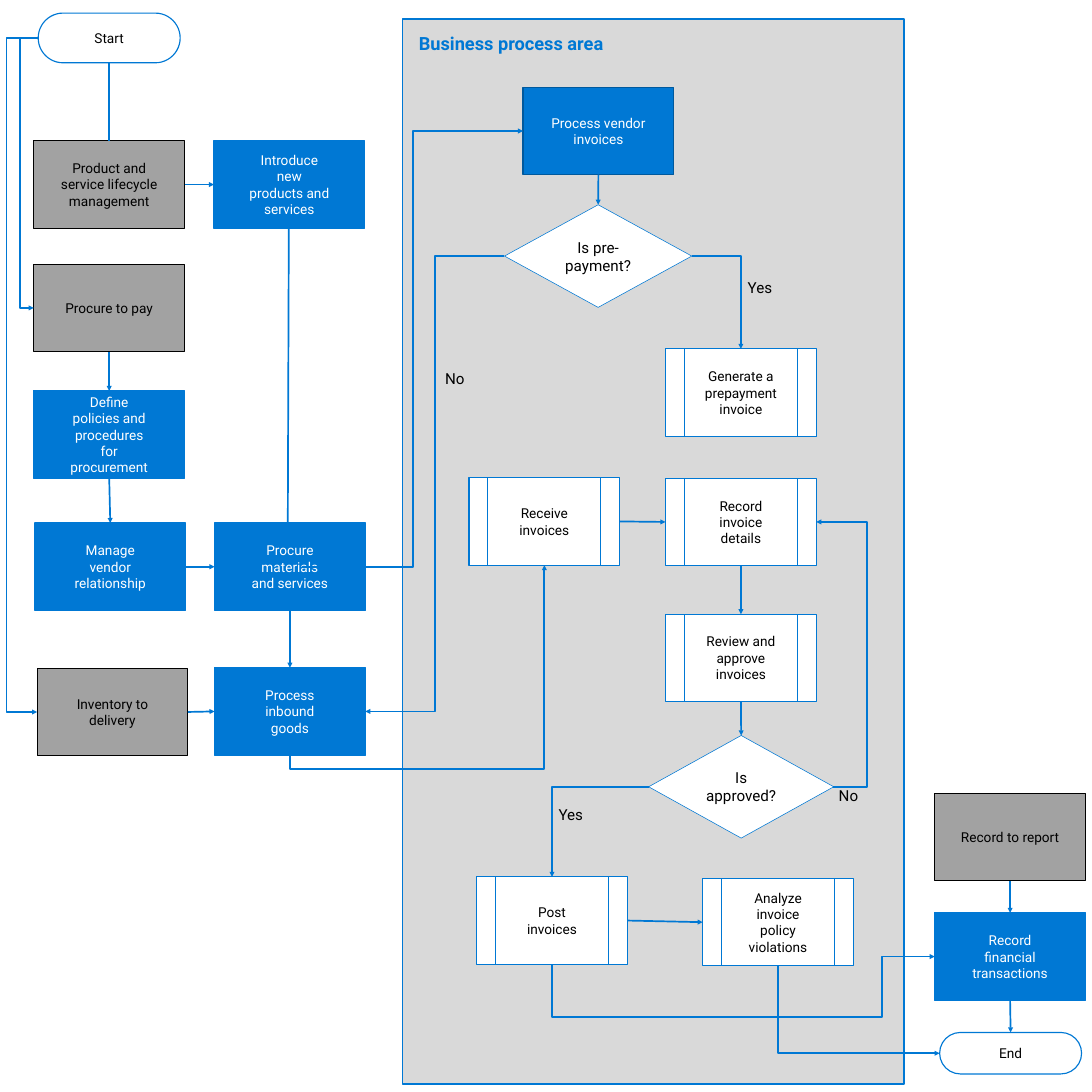
from lxml import etree
from pptx import Presentation
from pptx.dml.color import RGBColor
from pptx.enum import shapes, text
from pptx.oxml import ns
from pptx.util import Inches, Pt

BLUE = RGBColor(0x00, 0x78, 0xD4)
DARK_BLUE = RGBColor(0x00, 0x59, 0x9D)
GRAY = RGBColor(0xA2, 0xA2, 0xA2)
LIGHT_GRAY = RGBColor(0xD9, 0xD9, 0xD9)
BLACK = RGBColor(0, 0, 0)
WHITE = RGBColor(0xFF, 0xFF, 0xFF)

FONT = "Roboto"
BOX_SIZE = (2.76, 1.6)
TOP, LEFT, BOTTOM, RIGHT = range(4)
KIND = shapes.MSO_SHAPE

# kind: preset shape, fill, line colour, text colour
BOX_STYLES = {
    "area": (KIND.RECTANGLE, GRAY, BLACK, BLACK),
    "entry": (KIND.RECTANGLE, BLUE, DARK_BLUE, WHITE),
    "process": (KIND.FLOWCHART_PREDEFINED_PROCESS, BLUE, BLUE, WHITE),
    "step": (KIND.FLOWCHART_PREDEFINED_PROCESS, WHITE, BLUE, BLACK),
}

BOXES = [
    ("area", 0.62, 2.58, "Product and service lifecycle management"),
    ("area", 0.62, 4.84, "Procure to pay"),
    ("area", 0.68, 12.24, "Inventory to delivery"),
    ("area", 17.12, 14.53, "Record to report"),
    ("entry", 9.58, 1.6, "Process vendor invoices"),
    ("process", 3.92, 2.58, "Introduce new products and services"),
    ("process", 0.62, 7.16, "Define policies and procedures for procurement"),
    ("process", 0.64, 9.58, "Manage vendor relationship"),
    ("process", 3.93, 9.58, "Procure materials and services"),
    ("process", 3.93, 12.23, "Process inbound goods"),
    ("process", 17.12, 16.72, "Record financial transactions"),
    ("step", 12.19, 6.39, "Generate a prepayment invoice"),
    ("step", 8.59, 8.75, "Receive invoices"),
    ("step", 12.19, 8.76, "Record invoice details"),
    ("step", 12.19, 11.25, "Review and approve invoices"),
    ("step", 8.73, 16.06, "Post invoices"),
    ("step", 12.87, 16.09, "Analyze invoice policy violations"),
]

DOWN, ACROSS = (BOTTOM, TOP), (RIGHT, LEFT)
JOINS = [
    ("Product and service lifecycle management", "Introduce new products and services", ACROSS),
    ("Procure to pay", "Define policies and procedures for procurement", DOWN),
    ("Define policies and procedures for procurement", "Manage vendor relationship", DOWN),
    ("Manage vendor relationship", "Procure materials and services", ACROSS),
    ("Procure materials and services", "Process inbound goods", DOWN),
    ("Inventory to delivery", "Process inbound goods", ACROSS),
    ("Process vendor invoices", "Is pre-payment?", DOWN),
    ("Receive invoices", "Record invoice details", ACROSS),
    ("Record invoice details", "Review and approve invoices", DOWN),
    ("Review and approve invoices", "Is approved?", DOWN),
    ("Post invoices", "Analyze invoice policy violations", ACROSS),
    ("Record to report", "Record financial transactions", DOWN),
    ("Record financial transactions", "End", DOWN),
]

# start, end, bend coordinates (alternating axes), first leg vertical
ROUTES = [
    ((0.7, 0.7), (0.62, 5.64), [0.37], False),
    ((0.7, 0.7), (0.68, 13.04), [0.12], False),
    ((5.53, 10.38), (9.58, 2.4), [7.56], False),
    ((12.67, 4.69), (13.57, 6.39), [], False),
    ((9.24, 4.69), (6.69, 13.03), [7.97], False),
    ((5.31, 13.82), (9.97, 10.35), [14.08], True),
    ((15.26, 14.41), (14.95, 9.56), [15.88], False),
    ((11.88, 14.41), (10.11, 16.06), [], False),
    ((10.11, 17.66), (17.12, 17.52), [18.62, 16.15], True),
    ((14.25, 17.68), (17.21, 19.29), [], True),
]

LABELS = [
    (13.49, 5.09, 0.86, "Yes"),
    (7.9, 6.77, 0.86, "No"),
    (10.12, 14.75, 0.67, "Yes"),
    (14.97, 14.41, 1.14, "No"),
]


class Flowchart:
    def __init__(self, slide):
        self.slide = slide
        self.nodes = {}

    def set_text(self, shape, words, size, color, margins, align=text.PP_ALIGN.CENTER,
                 anchor=text.MSO_ANCHOR.MIDDLE):
        frame = shape.text_frame
        frame.word_wrap = True
        frame.vertical_anchor = anchor
        frame.margin_left = frame.margin_right = Inches(margins[0])
        frame.margin_top = frame.margin_bottom = Inches(margins[1])
        paragraph = frame.paragraphs[0]
        paragraph.text = words
        paragraph.alignment = align
        font = paragraph.font
        font.name, font.size, font.color.rgb = FONT, Pt(size), color
        return frame

    def paint(self, shape, fill, line, width):
        shape.fill.solid()
        shape.fill.fore_color.rgb = fill
        shape.line.color.rgb = line
        shape.line.width = Pt(width)

    def panel(self, left, top, width, height, words):
        """Use the title placeholder as the shaded process area."""
        title = self.slide.shapes.title
        title.left, title.top = Inches(left), Inches(top)
        title.width, title.height = Inches(width), Inches(height)
        self.paint(title, LIGHT_GRAY, BLUE, 2.25)
        frame = self.set_text(title, words, 24, BLUE, (0.3, 0.24),
                              text.PP_ALIGN.LEFT, text.MSO_ANCHOR.TOP)
        frame.auto_size = text.MSO_AUTO_SIZE.NONE
        frame.paragraphs[0].font.bold = True

    def node(self, preset, bounds, words, fill=WHITE, line=BLUE, color=BLACK,
             width=1.5, size=18, margins=(0.3, 0.24)):
        shape = self.slide.shapes.add_shape(preset, *map(Inches, bounds))
        shape.shadow.inherit = False
        self.paint(shape, fill, line, width)
        self.set_text(shape, words, size, color, margins)
        self.nodes[words] = shape
        return shape

    def box(self, kind, left, top, words):
        preset, fill, line, color = BOX_STYLES[kind]
        self.node(preset, (left, top, *BOX_SIZE), words, fill, line, color)

    def terminator(self, bounds, words):
        self.node(KIND.ROUNDED_RECTANGLE, bounds, words).adjustments[0] = 0.5

    def decision(self, bounds, words):
        self.node(KIND.DIAMOND, bounds, words, width=0.75, size=20, margins=(0.2, 0.16))

    def label(self, left, top, width, words):
        shape = self.slide.shapes.add_textbox(*map(Inches, (left, top, width, 0.34)))
        frame = self.set_text(shape, words, 20, BLACK, (0, 0), anchor=text.MSO_ANCHOR.TOP)
        frame.auto_size = text.MSO_AUTO_SIZE.SHAPE_TO_FIT_TEXT

    def line(self, start, end, kind=shapes.MSO_CONNECTOR.STRAIGHT, arrow=True):
        connector = self.slide.shapes.add_connector(kind, *map(Inches, (*start, *end)))
        connector.line.color.rgb = BLUE
        connector.line.width = Pt(2.25)
        properties = connector._element.spPr
        if arrow:
            outline = properties.find(ns.qn("a:ln"))
            etree.SubElement(outline, ns.qn("a:tailEnd"), type="triangle")
        etree.SubElement(properties, ns.qn("a:effectLst"))
        return connector

    def join(self, first, second, sides, arrow=True):
        connector = self.line((0, 0), (1, 1), arrow=arrow)
        connector.begin_connect(self.nodes[first], sides[0])
        connector.end_connect(self.nodes[second], sides[1])

    def route(self, start, end, bends, vertical):
        """Draw an elbow arrow; a vertical first leg is a quarter turn of a level one."""
        (x1, y1), (x2, y2) = start, end
        begin, finish = start, end
        if vertical:
            center_x, center_y = (x1 + x2) / 2, (y1 + y2) / 2
            half_x, half_y = (x2 - x1) / 2, (y2 - y1) / 2
            begin = (center_x - half_y, center_y + half_x)
            finish = (center_x + half_y, center_y - half_x)
        connector = self.line(begin, finish, shapes.MSO_CONNECTOR.ELBOW)
        properties = connector._element.spPr
        if vertical:
            properties.find(ns.qn("a:xfrm")).set("rot", "5400000")
        geometry = properties.find(ns.qn("a:prstGeom"))
        geometry.set("prst", f"bentConnector{len(bends) + 2}")
        guides = geometry.find(ns.qn("a:avLst"))
        for index, bend in enumerate(bends):
            axis = (index + vertical) % 2
            share = (bend - start[axis]) / (end[axis] - start[axis])
            etree.SubElement(guides, ns.qn("a:gd"), name=f"adj{index + 1}",
                             fmla=f"val {round(share * 100000)}")


def main():
    presentation = Presentation()
    presentation.slide_width = presentation.slide_height = Inches(20)
    chart = Flowchart(presentation.slides.add_slide(presentation.slide_layouts[5]))

    chart.panel(7.37, 0.35, 9.19, 19.51, "Business process area")
    chart.terminator((0.7, 0.24, 2.6, 0.91), "Start")
    chart.terminator((17.21, 18.91, 2.6, 0.76), "End")
    for box in BOXES:
        chart.box(*box)
    chart.decision((9.24, 3.75, 3.43, 1.88), "Is pre-payment?")
    chart.decision((11.88, 13.47, 3.39, 1.88), "Is approved?")

    chart.join("Product and service lifecycle management", "Start", (TOP, BOTTOM), arrow=False)
    for join in JOINS:
        chart.join(*join)
    chart.line((5.29, 4.11), (5.27, 9.94))
    for route in ROUTES:
        chart.route(*route)
    for label in LABELS:
        chart.label(*label)

    presentation.save("out.pptx")


if __name__ == "__main__":
    main()
